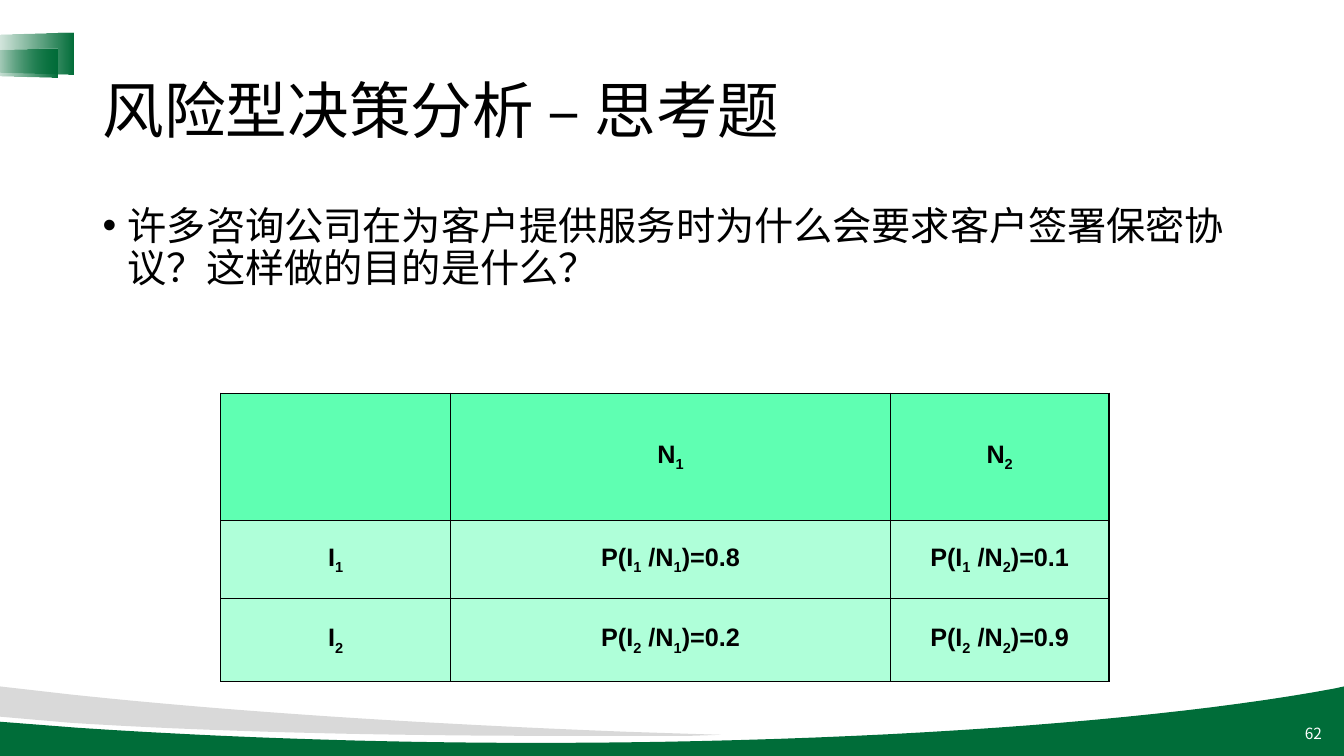
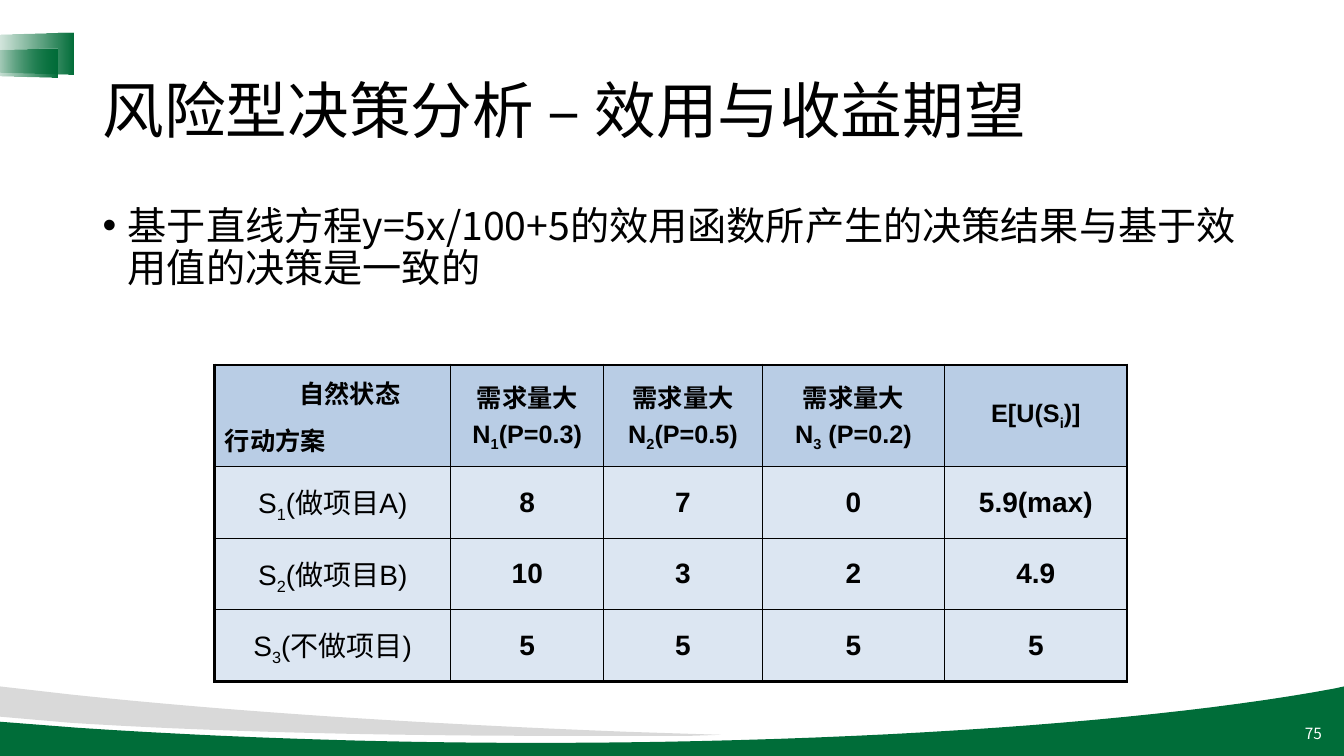
from lxml import etree
from pptx import Presentation
from pptx.dml.color import RGBColor
from pptx.enum.shapes import MSO_SHAPE
from pptx.enum.text import MSO_ANCHOR, PP_ALIGN
from pptx.oxml.ns import qn
from pptx.util import Inches, Pt

TRAPEZOID = MSO_SHAPE.TRAPEZOID
MIDDLE, TOP = MSO_ANCHOR.MIDDLE, MSO_ANCHOR.TOP
LEFT, CENTER, RIGHT = PP_ALIGN.LEFT, PP_ALIGN.CENTER, PP_ALIGN.RIGHT

COLORS = {
    "green": "006D39",
    "grey": "D9D9D9",
    "black": "000000",
    "white": "FFFFFF",
    "mint_header": "5FFFB2",
    "mint": "AFFFD9",
    "blue_header": "B9CDE5",
    "blue": "DCE6F2",
}
CJK_FONT, TABLE_FONT = "Noto Sans CJK SC", "Arial"

# Boxes: left, top, width, height in inches
TITLE_BOX = (0.92, 0.4, 11.5, 1.45)
BODY_BOX = (0.92, 2, 11.5, 1.4)
NUMBER_BOX = (10.21, 7.08, 3, 0.4)
WAVE_BOX = (0, 6.81, 13.33, 0.69)
TAB_BOXES = [(0.08, 0.09, 0.41, 0.88), (0.06, 0.26, 0.29, 0.73)]

# Wave outlines inside WAVE_BOX: two numbers are a corner, six a Bezier curve
WAVES = {
    "green": [(13.33, 0), (13.33, 0.69), (0, 0.69), (0, 0.35), (0.77, 0.41),
              (2.12, 0.5, 3.67, 0.56, 5.32, 0.56),
              (8.62, 0.56, 11.53, 0.34, 13.24, 0.02)],
    "grey": [(0, 0), (0.7, 0.08), (2.29, 0.25, 4.17, 0.37, 6.22, 0.45),
             (7.15, 0.48), (6.84, 0.49), (6.4, 0.49, 5.94, 0.49, 5.48, 0.49),
             (3.61, 0.49, 1.92, 0.44, 0.69, 0.36), (0, 0.3)],
}
CURVE_STEPS = 24


def rgb(name):
    return RGBColor.from_string(COLORS[name])


def style_paragraph(paragraph, size, font=CJK_FONT, color="black", bold=False, align=LEFT):
    paragraph.alignment = align
    paragraph.font.name = font
    paragraph.font.size = Pt(size)
    paragraph.font.bold = bold
    paragraph.font.color.rgb = rgb(color)
    properties = paragraph._p.pPr.find(qn("a:defRPr"))
    etree.SubElement(properties, qn("a:ea")).set("typeface", CJK_FONT)


def add_subscripted(paragraph, text):
    """Write text in which an underscore lowers the next character."""
    first, *rest = text.split("_")
    pieces = [(first, False)]
    for part in rest:
        pieces += [(part[0], True), (part[1:], False)]
    for piece, lowered in pieces:
        if piece:
            run = paragraph.add_run()
            run.text = piece
            if lowered:
                run._r.get_or_add_rPr().set("baseline", "-25000")


def add_text(slide, box, text, size, anchor=MIDDLE, bullet=False, line_spacing=None, **style):
    frame = slide.shapes.add_textbox(*map(Inches, box)).text_frame
    frame.word_wrap = True
    frame.vertical_anchor = anchor
    paragraph = frame.paragraphs[0]
    paragraph.text = text
    if bullet:
        properties = paragraph._p.get_or_add_pPr()
        properties.set("marL", str(Inches(0.25)))
        properties.set("indent", str(-Inches(0.25)))
        etree.SubElement(properties, qn("a:buFont")).set("typeface", TABLE_FONT)
        etree.SubElement(properties, qn("a:buChar")).set("char", "•")
    if line_spacing:
        paragraph.line_spacing = line_spacing
    style_paragraph(paragraph, size, **style)


def flatten(outline):
    """Turn corners and Bezier curves into a list of points."""
    points = []
    for step in outline:
        if len(step) == 2:
            points.append(step)
            continue
        start = points[-1]
        controls = [start, step[0:2], step[2:4], step[4:6]]
        for index in range(1, CURVE_STEPS + 1):
            t = index / CURVE_STEPS
            weights = ((1 - t) ** 3, 3 * t * (1 - t) ** 2, 3 * t * t * (1 - t), t ** 3)
            points.append(tuple(
                sum(weight * point[axis] for weight, point in zip(weights, controls))
                for axis in (0, 1)))
    return points


def add_waves(slide, box):
    left, top = map(Inches, box[:2])
    for color, outline in WAVES.items():
        points = [(Inches(x), Inches(y)) for x, y in flatten(outline)]
        builder = slide.shapes.build_freeform(*points[0])
        builder.add_line_segments(points[1:], close=True)
        wave = builder.convert_to_shape(left, top)
        wave.shadow.inherit = False
        wave.fill.solid()
        wave.fill.fore_color.rgb = rgb(color)
        wave.line.fill.background()


def add_corner_tab(slide, box):
    """Trapezoid lying on its side, fading out to the left."""
    tab = slide.shapes.add_shape(TRAPEZOID, *map(Inches, box))
    tab.rotation = 270
    tab.adjustments[0] = 0.07
    tab.shadow.inherit = False
    tab.line.fill.background()
    tab.fill.gradient()
    tab.fill.gradient_angle = 0
    for stop in tab.fill.gradient_stops:
        stop.color.rgb = rgb("green")
    gradient = tab._element.spPr.find(qn("a:gradFill"))
    gradient.set("rotWithShape", "0")
    first_color = gradient.find(".//" + qn("a:srgbClr"))
    etree.SubElement(first_color, qn("a:alpha")).set("val", "0")


def add_base_slide(presentation, number, title, body):
    slide = presentation.slides.add_slide(presentation.slide_layouts[6])
    # Shared decoration
    add_waves(slide, WAVE_BOX)
    for box in TAB_BOXES:
        add_corner_tab(slide, box)
    add_text(slide, NUMBER_BOX, number, 11, color="white", align=RIGHT)
    # Title and bullet
    add_text(slide, TITLE_BOX, title, 44, line_spacing=0.9)
    add_text(slide, BODY_BOX, body, 28, anchor=TOP, bullet=True, line_spacing=0.9)
    return slide


def set_borders(cell, widths):
    properties = cell._tc.get_or_add_tcPr()
    for side, width in zip("LRTB", widths):
        line = etree.SubElement(properties, qn("a:ln" + side), w=str(Pt(width)))
        fill = etree.SubElement(line, qn("a:solidFill"))
        etree.SubElement(fill, qn("a:srgbClr")).set("val", COLORS["black"])


def fill_cell(cell, text, size, bold, color):
    cell.vertical_anchor = MIDDLE
    cell.fill.solid()
    cell.fill.fore_color.rgb = rgb(color)
    frame = cell.text_frame
    for index, line in enumerate(text.split("\n")):
        paragraph = frame.add_paragraph() if index else frame.paragraphs[0]
        add_subscripted(paragraph, line)
        if index:
            paragraph.space_before = Pt(4)
        style_paragraph(paragraph, size, TABLE_FONT, bold=bold, align=CENTER)


def add_grid(slide, left, top, widths, heights, rows, palette, body_size=18,
             plain_labels=False, outer=1):
    """Bordered table with a header row; outer is the frame width in points."""
    table = slide.shapes.add_table(
        len(heights), len(widths), Inches(left), Inches(top),
        Inches(sum(widths)), Inches(sum(heights))).table
    table.horz_banding = False
    for column, width in zip(table.columns, widths):
        column.width = Inches(width)
    for row, height in zip(table.rows, heights):
        row.height = Inches(height)
    last_row, last_column = len(heights) - 1, len(widths) - 1
    for r, texts in enumerate(rows):
        for c, text in enumerate(texts):
            cell = table.cell(r, c)
            edges = (c == 0, c == last_column, r == 0, r == last_row)
            set_borders(cell, [outer if edge else 1 for edge in edges])
            is_label = plain_labels and r > 0 and c == 0
            fill_cell(cell, text, body_size if r else 18, not is_label,
                      palette if r else palette + "_header")
    return table


def add_question_slide(presentation):
    slide = add_base_slide(
        presentation, "62", "风险型决策分析 – 思考题",
        "许多咨询公司在为客户提供服务时为什么会要求客户签署保密协议？这样做的目的是什么？")
    rows = [
        ["", "N_1", "N_2"],
        ["I_1", "P(I_1 /N_1)=0.8", "P(I_1 /N_2)=0.1"],
        ["I_2", "P(I_2 /N_1)=0.2", "P(I_2 /N_2)=0.9"],
    ]
    add_grid(slide, 2.19, 3.9, [2.28, 4.36, 2.17], [1.26, 0.78, 0.82], rows, "mint")


def add_utility_slide(presentation):
    slide = add_base_slide(
        presentation, "75", "风险型决策分析 – 效用与收益期望",
        "基于直线方程y=5x/100+5的效用函数所产生的决策结果与基于效用值的决策是一致的")
    rows = [
        ["自然状态\n行动方案", "需求量大\nN_1(P=0.3)", "需求量大\nN_2(P=0.5)",
         "需求量大\nN_3 (P=0.2)", "E[U(S_i)]"],
        ["S_1(做项目A)", "8", "7", "0", "5.9(max)"],
        ["S_2(做项目B)", "10", "3", "2", "4.9"],
        ["S_3(不做项目)", "5", "5", "5", "5"],
    ]
    table = add_grid(slide, 2.13, 3.62, [2.34, 1.52, 1.57, 1.81, 1.81],
                     [1.01] + [0.71] * 3, rows, "blue", body_size=20,
                     plain_labels=True, outer=2.25)
    # Corner cell: state heading indented, action heading at the left
    state, action = table.cell(0, 0).text_frame.paragraphs
    state.alignment = action.alignment = LEFT
    state._p.get_or_add_pPr().set("marL", str(Inches(0.74)))
    action.space_before = Pt(8)


def main():
    presentation = Presentation()
    presentation.slide_width = Inches(13.33)
    presentation.slide_height = Inches(7.5)
    add_question_slide(presentation)
    add_utility_slide(presentation)
    presentation.save("out.pptx")


if __name__ == "__main__":
    main()
